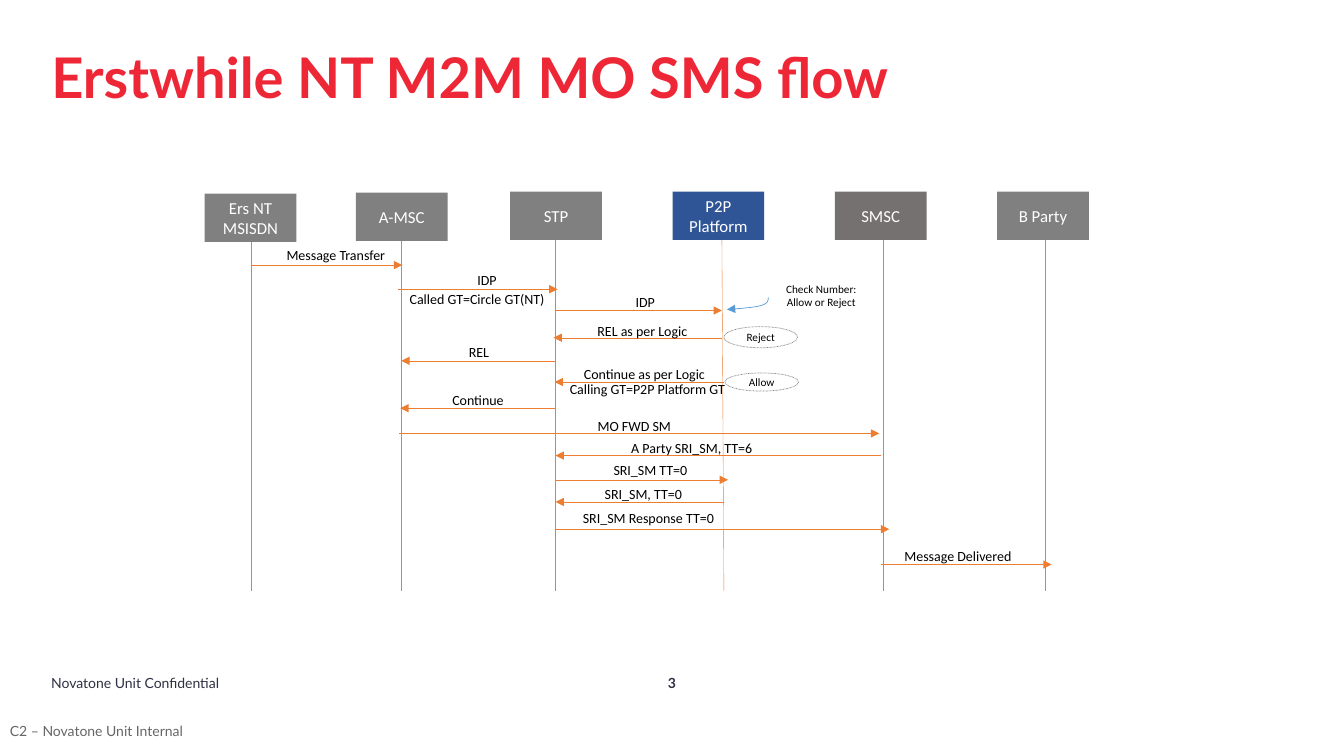
from pptx import Presentation
from pptx.dml.color import RGBColor
from pptx.enum.dml import MSO_LINE
from pptx.enum.shapes import MSO_CONNECTOR, MSO_SHAPE
from pptx.enum.text import MSO_ANCHOR, PP_ALIGN
from pptx.oxml.ns import qn
from pptx.util import Inches, Pt
from lxml import etree

LEFT, CENTER = PP_ALIGN.LEFT, PP_ALIGN.CENTER
TOP, MIDDLE = MSO_ANCHOR.TOP, MSO_ANCHOR.MIDDLE
RECT, OVAL = MSO_SHAPE.RECTANGLE, MSO_SHAPE.OVAL
STRAIGHT, DOTS = MSO_CONNECTOR.STRAIGHT, MSO_LINE.ROUND_DOT

ORANGE, GREY, INK = "ED7D31", "808080", "2F3043"
TITLE = "Erstwhile NT M2M MO SMS flow"

# Lanes: name, box left, box top, fill, lifeline top x, lifeline bottom x
LANES = [
    ("Ers NT MSISDN", 2.03, 1.92, GREY, 2.49, 2.49),
    ("A-MSC", 3.53, 1.91, GREY, 3.98, 3.98),
    ("STP", 5.06, 1.9, GREY, 5.51, 5.51),
    ("P2P Platform", 6.67, 1.9, "2F5597", 7.16, 7.18),
    ("SMSC", 8.28, 1.9, "767171", 8.76, 8.76),
    ("B Party", 9.89, 1.9, GREY, 10.37, 10.37),
]
LANE_W, LANE_H, LANE_END = 0.91, 0.48, 5.86

# Messages: from x, to x, y
ARROWS = [
    (2.5, 3.99, 2.63), (3.95, 5.53, 2.87), (5.5, 7.16, 3.08),
    (7.16, 5.49, 3.35), (5.51, 3.98, 3.58), (7.18, 5.5, 3.79),
    (5.5, 3.97, 4.05), (3.96, 8.72, 4.3), (8.74, 5.51, 4.52),
    (5.51, 7.22, 4.76), (7.18, 5.51, 4.98), (5.5, 8.82, 5.25),
    (8.74, 10.43, 5.6),
]

# Labels: text, centre x, top
LABELS = [
    ("Message Transfer", 3.38, 2.4),
    ("IDP", 4.88, 2.64),
    ("Called GT=Circle GT(NT)", 4.78, 2.83),
    ("IDP", 6.45, 2.86),
    ("REL as per Logic", 6.42, 3.15),
    ("REL", 4.8, 3.36),
    ("Continue as per Logic", 6.44, 3.58),
    ("Calling GT=P2P Platform GT", 6.47, 3.73),
    ("Continue", 4.79, 3.83),
    ("MO FWD SM", 6.34, 4.09),
    ("A Party SRI_SM, TT=6", 6.91, 4.31),
    ("SRI_SM TT=0", 6.5, 4.53),
    ("SRI_SM, TT=0", 6.43, 4.77),
    ("SRI_SM Response TT=0", 6.48, 5.01),
    ("Message Delivered", 9.55, 5.38),
]
LABEL_W, LABEL_H = 2.2, 0.32

# Outcomes: text, left, top, height
OUTCOMES = [("Reject", 7.18, 3.24, 0.21), ("Allow", 7.19, 3.7, 0.18)]

# Pointer to the check: cubic segments of four points each
CURVE = [
    [(7.62, 2.95), (7.62, 2.98), (7.62, 3.01), (7.55, 3.03)],
    [(7.55, 3.03), (7.49, 3.05), (7.35, 3.06), (7.21, 3.07)],
]
STEPS = 8


def color(code):
    return RGBColor.from_string(code)


def write(shape, text, size=10, font="Calibri", ink="000000", bold=False,
          align=CENTER, anchor=MIDDLE, wrap=True, inset=None, space=None):
    frame = shape.text_frame
    frame.text = text
    frame.word_wrap = wrap
    frame.vertical_anchor = anchor
    if inset is not None:
        frame.margin_left = Inches(inset)
    for para in frame.paragraphs:
        para.alignment = align
        para.line_spacing = space
        for run in para.runs:
            face = run.font
            face.name, face.size, face.bold = font, Pt(size), bold
            face.color.rgb = color(ink)


def box(at, text, kind=None, fill=None, edge=None, **form):
    spot = [Inches(n) for n in at]
    if kind is None:
        shape = shapes.add_textbox(*spot)
    else:
        shape = shapes.add_shape(kind, *spot)
        shape.shadow.inherit = False
        if fill:
            shape.fill.solid()
            shape.fill.fore_color.rgb = color(fill)
        else:
            shape.fill.background()
        if edge:
            shape.line.color.rgb = color(edge)
            shape.line.width = Pt(0.5)
            shape.line.dash_style = DOTS
        else:
            shape.line.fill.background()
    write(shape, text, **form)


def stroke(shape, ink, width, tip):
    shape.line.color.rgb = color(ink)
    shape.line.width = Pt(width)
    if tip:
        pen = shape.line._get_or_add_ln()
        etree.SubElement(pen, qn("a:tailEnd"), type="triangle")


def link(x1, y1, x2, y2, tip=False):
    line = shapes.add_connector(STRAIGHT, *[Inches(n) for n in (x1, y1, x2, y2)])
    stroke(line, ORANGE, 0.25, tip)
    etree.SubElement(line._element.spPr, qn("a:effectLst"))


def bezier(pts, t):
    parts = ((1 - t) ** 3, 3 * t * (1 - t) ** 2, 3 * t * t * (1 - t), t ** 3)
    return tuple(Inches(sum(w * p[i] for w, p in zip(parts, pts))) for i in (0, 1))


deck = Presentation()
deck.slide_width, deck.slide_height = Inches(13.33), Inches(7.5)
slide = deck.slides.add_slide(deck.slide_layouts[5])
shapes = slide.shapes

# Title and footer
head = shapes.title
head.left, head.top = Inches(0.41), Inches(0.41)
head.width, head.height = Inches(12.48), Inches(0.78)
write(head, TITLE, size=40, font="Lato", ink="EE2737", bold=True,
      align=LEFT, space=0.9)
box((0, 7.12, 13.33, 0.27), "C2 – Novatone Unit Internal", kind=RECT,
    fill="FFFFFF", font="Lato", ink="666666", align=LEFT, anchor=TOP)
box((0.41, 6.58, 4.5, 0.4), "Novatone Unit Confidential", font="Lato",
    ink=INK, align=LEFT)
box((6.19, 6.58, 0.95, 0.4), "3", font="Lato", ink=INK, bold=True)

# Lanes
for name, left, top, fill, x1, x2 in LANES:
    box((left, top, LANE_W, LANE_H), name, kind=RECT, fill=fill,
        size=12, ink="FFFFFF")
    link(x1, top + LANE_H, x2, LANE_END)

# Messages
for x1, x2, y in ARROWS:
    link(x1, y, x2, y, tip=True)
for text, mid, top in LABELS:
    box((mid - LABEL_W / 2, top, LABEL_W, LABEL_H), text,
        anchor=TOP, wrap=False, inset=0)

# Number check and its outcomes
box((7.65, 2.75, 1.09, 0.34), "Check Number:\nAllow or Reject", size=8,
    anchor=TOP, wrap=False, inset=0)
for text, left, top, high in OUTCOMES:
    box((left, top, 0.73, high), text, kind=OVAL, edge=GREY, size=8)

dots = [bezier(pts, n / STEPS) for pts in CURVE for n in range(1, STEPS + 1)]
build = shapes.build_freeform(*bezier(CURVE[0], 0))
build.add_line_segments(dots, close=False)
curve = build.convert_to_shape()
curve.shadow.inherit = False
curve.fill.background()
stroke(curve, "5B9BD5", 0.5, True)

deck.save("out.pptx")
